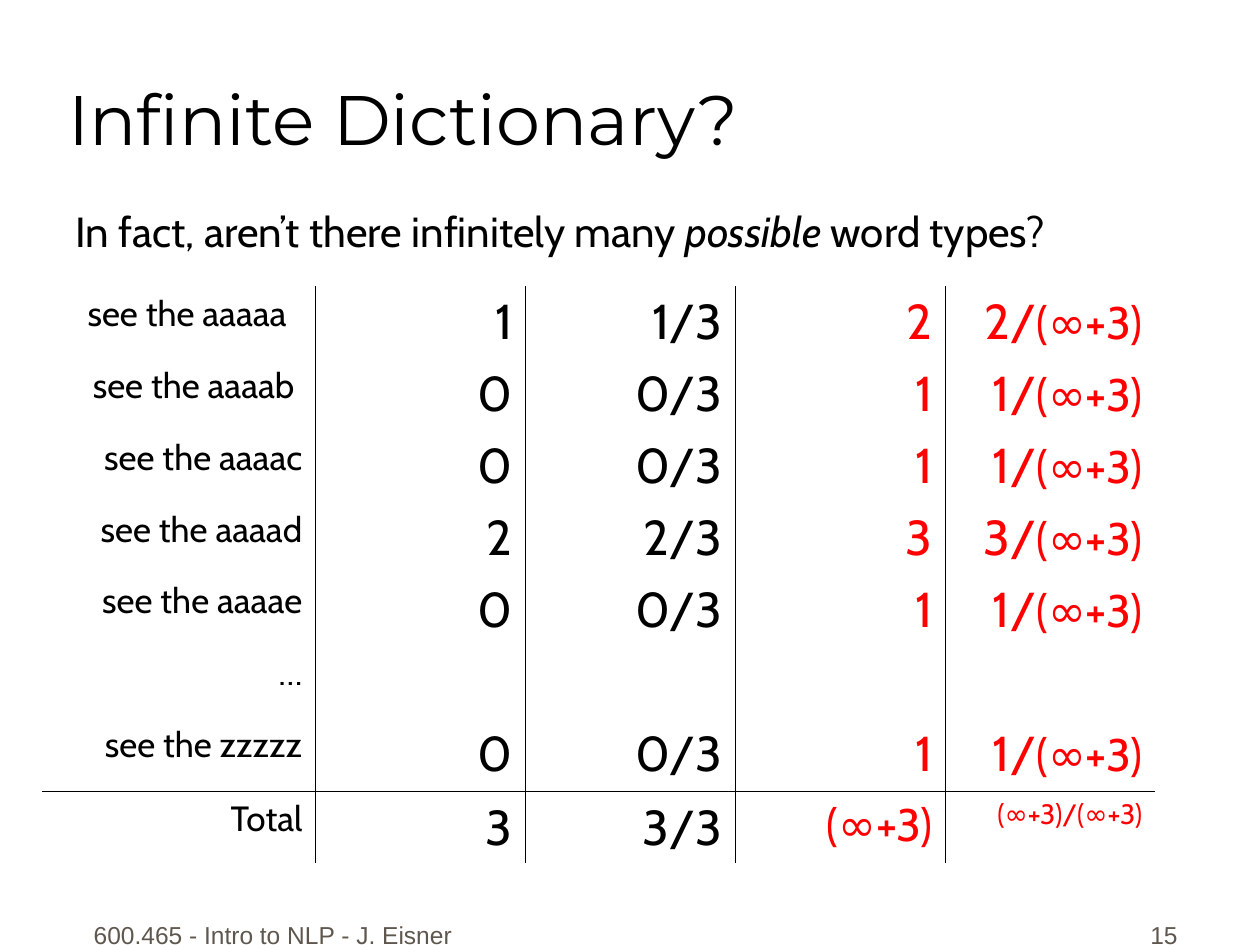
from dataclasses import dataclass

from lxml.etree import SubElement
from pptx import Presentation
from pptx.dml.color import RGBColor
from pptx.enum.text import MSO_ANCHOR, PP_ALIGN
from pptx.oxml.ns import qn
from pptx.util import Pt


@dataclass(frozen=True)
class Theme:
    black: str = "000000"
    red: str = "FF0000"
    gray: str = "5E574E"
    title_font: str = "Montserrat"
    body_font: str = "Cabin"
    footer_font: str = "Arial"
    title: float = 40
    body: float = 24
    label: float = 20
    number: float = 28
    formula: float = 26
    ratio: float = 16
    footer: float = 14
    rule: float = 0.45


THEME = Theme()


@dataclass(frozen=True)
class Run:
    text: str
    size: float
    color: str = THEME.black
    font: str = THEME.body_font
    italic: bool = False


@dataclass(frozen=True)
class TextBox:
    left: float
    top: float
    width: float
    height: float
    runs: tuple[Run, ...]
    align: PP_ALIGN = PP_ALIGN.LEFT
    anchor: MSO_ANCHOR = MSO_ANCHOR.TOP


@dataclass(frozen=True)
class WordRow:
    label: str
    count: str = ""
    smoothed: str = ""
    indent: float = 0  # extra room to the right of the label

    def cells(self) -> list[tuple[Run, ...]]:
        label = (Run(self.label, THEME.label),)
        if not self.count:
            return [label, (), (), (), ()]
        return [
            label,
            (Run(self.count, THEME.number),),
            (Run(f"{self.count}/3", THEME.number),),
            (Run(self.smoothed, THEME.number, THEME.red),),
            (Run(f"{self.smoothed}/", THEME.number, THEME.red),
             Run(INFINITE_TOTAL, THEME.formula, THEME.red)),
        ]


INFINITE_TOTAL = "(∞+3)"

WORDS = (
    WordRow("see the aaaaa", "1", "2", indent=9),
    WordRow("see the aaaab", "0", "1", indent=4.5),
    WordRow("see the aaaac", "0", "1"),
    WordRow("see the aaaad", "2", "3"),
    WordRow("see the aaaae", "0", "1"),
    WordRow("…"),
    WordRow("see the zzzzz", "0", "1"),
)

TOTALS = [
    (Run("Total", THEME.label),),
    (Run("3", THEME.number),),
    (Run("3/3", THEME.number),),
    (Run(INFINITE_TOTAL, THEME.formula, THEME.red),),
    (Run(f"{INFINITE_TOTAL}/{INFINITE_TOTAL}", THEME.ratio, THEME.red),),
]

TEXT_BOXES = (
    # Title
    TextBox(32, 4.5, 612, 90,
            (Run("Infinite Dictionary?", THEME.title, font=THEME.title_font),),
            anchor=MSO_ANCHOR.BOTTOM),
    # Question above the table
    TextBox(36, 114, 672, 366,
            (Run("In fact, aren’t there infinitely many ", THEME.body),
             Run("possible", THEME.body, italic=True),
             Run(" word types?", THEME.body))),
    # Footer and page number
    TextBox(42, 510, 228, 36,
            (Run("600.465 - Intro to NLP - J. Eisner", THEME.footer,
                 THEME.gray, THEME.footer_font),),
            PP_ALIGN.CENTER, MSO_ANCHOR.BOTTOM),
    TextBox(530, 510, 150, 36,
            (Run("15", THEME.footer, THEME.gray, THEME.footer_font),),
            PP_ALIGN.RIGHT, MSO_ANCHOR.BOTTOM),
)

TABLE_LEFT, TABLE_TOP = 24, 163.6
COLUMN_WIDTHS = (156,) + (120,) * 4
ROW_HEIGHTS = (41.1,) * 6 + (42.3, 41.1)
CELL_MARGIN = 7.2


def write_runs(paragraph, runs: tuple[Run, ...], align: PP_ALIGN) -> None:
    paragraph.alignment = align
    for item in runs:
        run = paragraph.add_run()
        run.text = item.text
        formats = {"name": item.font, "size": Pt(item.size),
                   "italic": item.italic, "bold": False}
        for name, value in formats.items():
            setattr(run.font, name, value)
        run.font.color.rgb = RGBColor.from_string(item.color)


def add_text(slide, box: TextBox) -> None:
    shape = slide.shapes.add_textbox(
        Pt(box.left), Pt(box.top), Pt(box.width), Pt(box.height))
    frame = shape.text_frame
    frame.word_wrap = True
    frame.vertical_anchor = box.anchor
    write_runs(frame.paragraphs[0], box.runs, box.align)


def set_borders(cell, ruled: dict[str, bool]) -> None:
    """Rule or clear each side; lines must come before the cell's fill."""
    properties = cell._tc.get_or_add_tcPr()
    for position, (side, visible) in enumerate(ruled.items()):
        line = SubElement(properties, qn(f"a:ln{side}"), w=str(Pt(THEME.rule)))
        if visible:
            fill = SubElement(line, qn("a:solidFill"))
            SubElement(fill, qn("a:srgbClr"), val=THEME.black)
        else:
            SubElement(line, qn("a:noFill"))
        properties.insert(position, line)


def add_table(slide) -> None:
    rows = [word.cells() for word in WORDS] + [TOTALS]
    total_row, last_column = len(rows) - 1, len(COLUMN_WIDTHS) - 1
    table = slide.shapes.add_table(
        len(rows), len(COLUMN_WIDTHS), Pt(TABLE_LEFT), Pt(TABLE_TOP),
        Pt(sum(COLUMN_WIDTHS)), Pt(sum(ROW_HEIGHTS))).table
    table.first_row = table.horz_banding = False
    for column, width in zip(table.columns, COLUMN_WIDTHS):
        column.width = Pt(width)
    for row, height in zip(table.rows, ROW_HEIGHTS):
        row.height = Pt(height)

    for row_index, row in enumerate(rows):
        for column_index, runs in enumerate(row):
            cell = table.cell(row_index, column_index)
            cell.fill.background()
            set_borders(cell, {
                "L": column_index > 0,
                "R": column_index < last_column,
                "T": row_index == total_row,
                "B": row_index == total_row - 1,
            })
            write_runs(cell.text_frame.paragraphs[0], runs, PP_ALIGN.RIGHT)

    # Stepped labels in the first rows
    for row_index, word in enumerate(WORDS):
        table.cell(row_index, 0).margin_right = Pt(CELL_MARGIN + word.indent)


def main() -> None:
    presentation = Presentation()
    presentation.slide_width, presentation.slide_height = Pt(720), Pt(540)
    slide = presentation.slides.add_slide(presentation.slide_layouts[6])
    for box in TEXT_BOXES:
        add_text(slide, box)
    add_table(slide)
    presentation.save("out.pptx")


if __name__ == "__main__":
    main()
